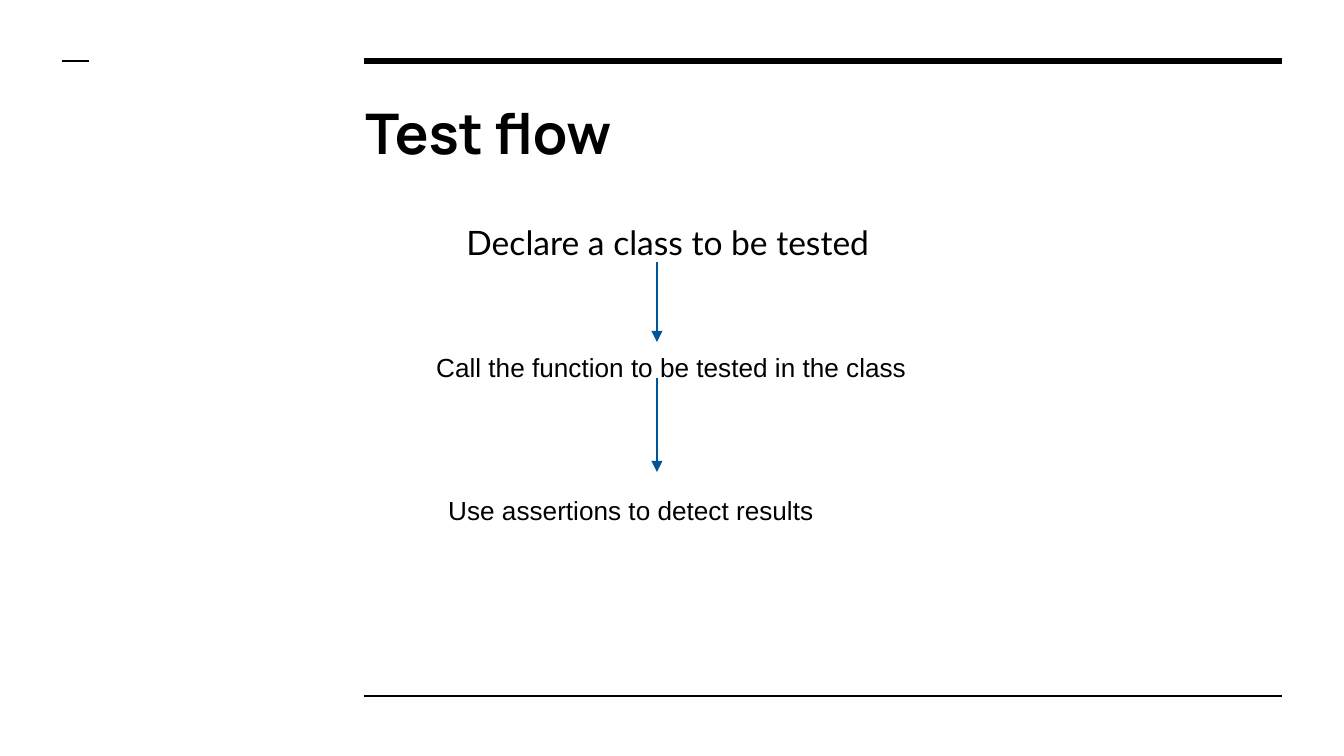
from lxml import etree
from pptx import Presentation
from pptx import util as u
from pptx.dml.color import RGBColor
from pptx.enum import shapes, text
from pptx.oxml.ns import qn

EMU_PER_PX = 914400 / 134.4
COLORS = {"ink": "000000", "arrow": "005599"}

TITLE = ("Test flow", (352, 85, 929, 93), "Manrope", 30)
FIRST_STEP = ("Declare a class to be tested", (453, 202, 607, 78), "Lato", 18)
LATER_STEPS = [
    ("Call the function to be tested in the class", (423, 345, 543, 46), "Arial", 14),
    ("Use assertions to detect results", (435, 488, 442, 46), "Arial", 14),
]
# start x, end x, y, width in points
RULES = [(364, 1282, 61, 3), (364, 1282, 696, 1.5), (62, 89, 61, 1.5)]
ARROW_X = 657
ARROW_SPANS = [(262, 342), (378, 472)]


def px(value):
    return u.Emu(round(value * EMU_PER_PX))


def color(name):
    return RGBColor.from_string(COLORS[name])


def fill_text(shape, content, inset):
    words, box, font_name, size = content
    shape.left, shape.top, shape.width, shape.height = map(px, box)
    frame = shape.text_frame
    frame.text = words
    frame.word_wrap = True
    frame.auto_size = text.MSO_AUTO_SIZE.NONE
    frame.vertical_anchor = text.MSO_ANCHOR.TOP
    frame.margin_left = frame.margin_right = u.Inches(0.1)
    frame.margin_top = frame.margin_bottom = u.Inches(inset)
    paragraph = frame.paragraphs[0]
    paragraph.alignment = text.PP_ALIGN.LEFT
    font = paragraph.runs[0].font
    font.name, font.size = font_name, u.Pt(size)
    font.color.rgb = color("ink")
    return paragraph


def add_line(slide, start, end, color_name, width):
    line = slide.shapes.add_connector(
        shapes.MSO_CONNECTOR.STRAIGHT, *map(px, start + end))
    line.line.color.rgb = color(color_name)
    line.line.width = u.Pt(width)
    etree.SubElement(line._element.spPr, qn("a:effectLst"))
    return line


def add_arrow(slide, top, bottom):
    arrow = add_line(slide, (ARROW_X, top), (ARROW_X, bottom), "arrow", 0.75)
    etree.SubElement(arrow.line._get_or_add_ln(), qn("a:tailEnd"), type="triangle")


def main():
    presentation = Presentation()
    presentation.slide_width, presentation.slide_height = px(1344), px(756)
    slide = presentation.slides.add_slide(presentation.slide_layouts[1])

    for left, right, y, width in RULES:
        add_line(slide, (left, y), (right, y), "ink", width)

    title = fill_text(slide.shapes.title, TITLE, 0.1)
    title.runs[0].font.bold = True

    step = fill_text(slide.placeholders[1], FIRST_STEP, 0.1)
    step.line_spacing = 1.15
    step.space_before, step.space_after = u.Pt(0), u.Pt(16)
    properties = step._p.get_or_add_pPr()
    properties.set("marL", "0")
    properties.set("indent", "0")
    etree.SubElement(properties, qn("a:buNone"))

    for content in LATER_STEPS:
        textbox = slide.shapes.add_textbox(*map(px, content[1]))
        fill_text(textbox, content, 0.05)

    for top, bottom in ARROW_SPANS:
        add_arrow(slide, top, bottom)

    presentation.save("out.pptx")


if __name__ == "__main__":
    main()
